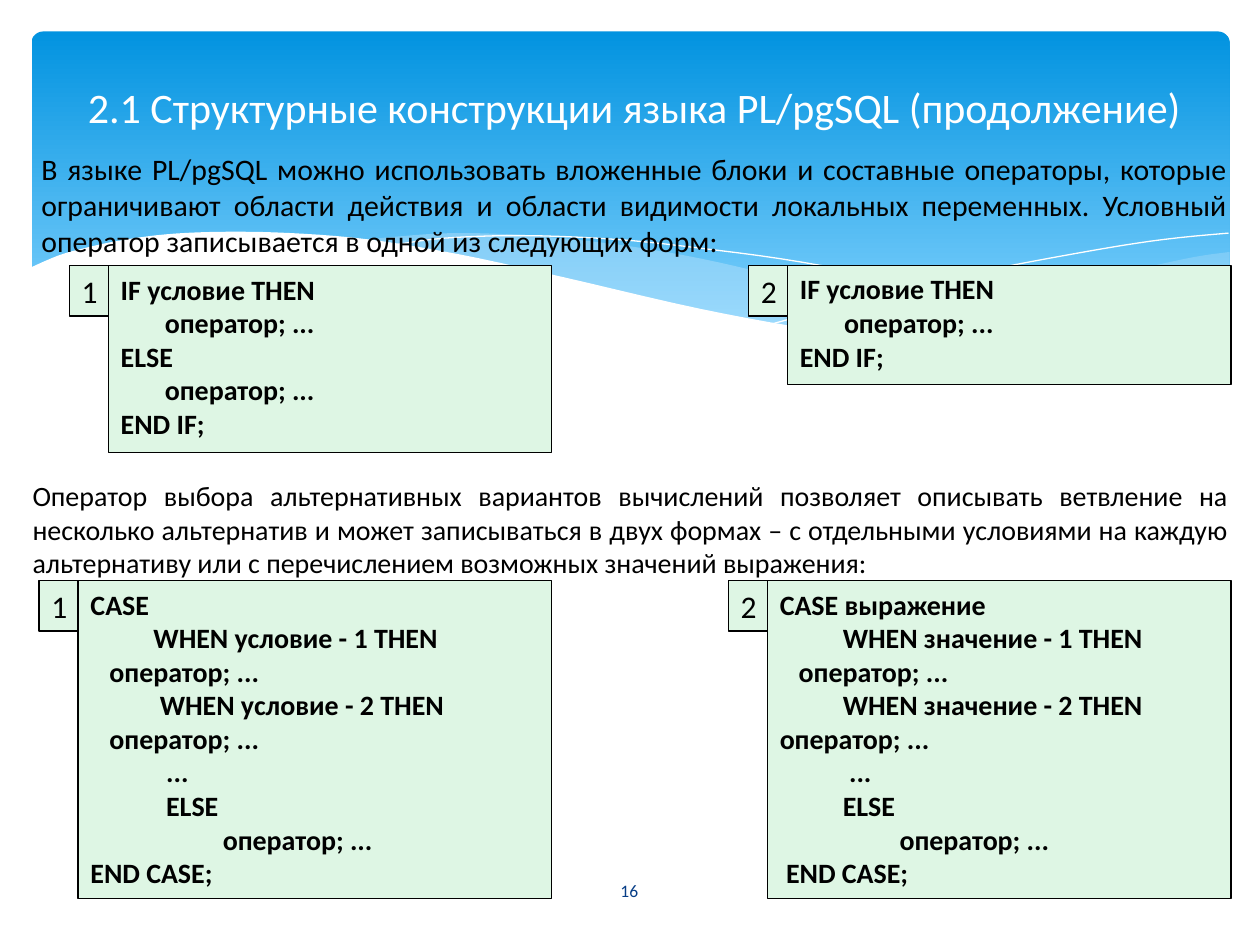
from dataclasses import dataclass
from typing import NamedTuple

from lxml.etree import SubElement
from pptx import Presentation
from pptx.dml.color import RGBColor as Color
from pptx.enum.shapes import MSO_SHAPE as Preset
from pptx.enum.text import MSO_ANCHOR as Anchor, PP_ALIGN as Align
from pptx.oxml.ns import qn
from pptx.util import Emu, Inches, Pt

COLUMNS, ROWS = 100, 75
CURVE_STEPS = 5


@dataclass(frozen=True)
class Theme:
    font: str = "Calibri"
    sky_top: str = "0293E0"
    sky_bottom: str = "83D3FE"
    wave: str = "C6E7FC"
    paper: str = "FFFFFF"
    ink: str = "000000"
    page: str = "073E87"
    panel: str = "DEF6E4"
    title_size: float = 24
    lead_size: float = 17
    code_size: float = 16
    badge_size: float = 18
    page_size: float = 10
    border: float = 0.75


class Area(NamedTuple):
    left: float
    top: float
    width: float
    height: float


class Style(NamedTuple):
    size: float
    color: str
    align: Align = Align.LEFT
    bold: bool = False


class Wave(NamedTuple):
    curves: list
    color: str
    opacity: int = 100
    filled: bool = True


class CodePanel(NamedTuple):
    number: str
    area: Area
    code: str


THEME = Theme()
BADGE_WIDTH, BADGE_HEIGHT = 3.1, 4
IF_TOP, CASE_TOP = 21.1, 46.1

WAVES = [
    Wave([[(97.6, 20), (94.8, 20.4), (90.6, 21.3), (86.1, 22.3), (77.9, 24.2), (66.1, 26.5)],
          [(66.1, 26.5), (71.9, 27.2), (76.9, 27.7), (81.4, 27.8), (86.3, 27.5), (90.5, 26.9),
           (94.2, 25.9), (97.6, 24.7)]], THEME.wave, 29),
    Wave([[(89.3, 27.3), (80.7, 26), (70.6, 24), (62.9, 22.2), (55.5, 20.5), (48.9, 19.4),
           (42, 18.7), (36.1, 18.5), (31.3, 18.8), (28.6, 19.1)],
          [(28.6, 19.1), (36.2, 20.3), (44.9, 22.2), (56.6, 24.8), (65, 26.4), (72.2, 27.4),
           (78.5, 27.7), (83.8, 27.8), (89.3, 27.3)]], THEME.wave, 40),
    Wave([[(30.9, 19.5), (35.3, 18.9), (41.6, 18.7), (48.9, 19), (55.6, 19.7), (63.6, 20.8),
           (72.7, 22.6), (83.1, 25.1), (90.7, 27.2)]], THEME.paper, filled=False),
    Wave([[(61.3, 25.7), (69.5, 23.5), (77.6, 21.6), (86.6, 19.9), (92.4, 19), (97.5, 18.5)]],
         THEME.paper, filled=False),
    Wave([[(97.7, 24.6), (94, 25.9), (89.9, 26.9), (85, 27.5), (79.3, 27.6), (72.6, 27.2),
           (64.8, 26.2), (55.5, 24.5), (44.7, 22), (36.5, 20.2), (29.2, 19), (23, 18.5),
           (17.7, 18.4), (13.2, 18.6), (9.5, 19.1), (6.7, 19.7), (4.6, 20.3), (2.3, 21.3)],
          [(2.3, 32.9), (97.7, 32.9)]], THEME.paper),
]

TITLE = "2.1 Структурные конструкции языка PL/pgSQL (продолжение)"
IF_LEAD = (
    "В языке PL/pgSQL можно использовать вложенные блоки и составные операторы, которые "
    "ограничивают области действия и области видимости локальных переменных. Условный "
    "оператор записывается в одной из следующих форм:"
)
CASE_LEAD = (
    "Оператор выбора альтернативных вариантов вычислений позволяет описывать ветвление на "
    "несколько альтернатив и может записываться в двух формах – с отдельными условиями на каждую "
    "альтернативу или с перечислением возможных значений выражения:"
)
PANELS = [
    CodePanel("1", Area(8.6, IF_TOP, 35.2, 14.8), """IF условие THEN
       оператор; ...
ELSE
       оператор; ...
END IF;"""),
    CodePanel("2", Area(62.5, IF_TOP, 35.2, 9.4), """IF условие THEN
       оператор; ...
END IF;"""),
    CodePanel("1", Area(6.2, CASE_TOP, 37.6, 25.2), """CASE
          WHEN условие - 1 THEN
   оператор; ...
           WHEN условие - 2 THEN
   оператор; ...
            ...
            ELSE
                     оператор; ...
END CASE;"""),
    CodePanel("2", Area(60.9, CASE_TOP, 36.8, 25.2), """CASE выражение
          WHEN значение - 1 THEN
   оператор; ...
          WHEN значение - 2 THEN
оператор; ...
           ...
          ELSE
                   оператор; ...
 END CASE;"""),
]


class Board:
    """Draw slide parts whose lengths are given in grid columns and rows."""

    def __init__(self, presentation) -> None:
        self.shapes = presentation.slides.add_slide(presentation.slide_layouts[6]).shapes
        self.column = presentation.slide_width / COLUMNS
        self.row = presentation.slide_height / ROWS

    def place(self, area: Area) -> list[Emu]:
        """Turn a grid area into slide lengths."""
        scales = (self.column, self.row) * 2
        return [Emu(round(length * scale)) for length, scale in zip(area, scales)]

    def sky(self, area: Area) -> None:
        """Draw the rounded gradient panel."""
        shape = self.shapes.add_shape(Preset.ROUNDED_RECTANGLE, *self.place(area))
        shape.adjustments[0] = 0.034
        shape.shadow.inherit = False
        shape.line.fill.background()
        shape.fill.gradient()
        shape.fill.gradient_angle = 270
        stops = ((0, THEME.sky_top), (0.9, THEME.sky_bottom))
        for stop, (position, color) in zip(shape.fill.gradient_stops, stops):
            stop.position = position
            stop.color.rgb = Color.from_string(color)

    def wave(self, wave: Wave) -> None:
        """Draw a smooth outline, filled or as a hairline."""
        points = [point for curve in wave.curves for point in smooth(curve)]
        builder = self.shapes.build_freeform(
            *points[0], scale=(self.column, self.row))
        builder = self.shapes.build_freeform(
            round(points[0][0] * self.column), round(points[0][1] * self.row))
        builder.add_line_segments(
            [(round(x * self.column), round(y * self.row)) for x, y in points[1:]],
            close=wave.filled)
        shape = builder.convert_to_shape()
        shape.shadow.inherit = False
        if not wave.filled:
            shape.fill.background()
            shape.line.color.rgb = Color.from_string(wave.color)
            shape.line.width = Pt(0)
            return
        shape.line.fill.background()
        paint(shape, wave.color)
        if wave.opacity < 100:
            color = shape.fill._xPr.find(qn("a:solidFill"))[0]
            SubElement(color, qn("a:alpha")).set("val", str(wave.opacity * 1000))

    def text(self, area: Area, text: str, style: Style):
        """Add a wrapping text box."""
        shape = self.shapes.add_textbox(*self.place(area))
        write(shape, text, style)
        return shape

    def label(self, area: Area, text: str, style: Style) -> None:
        """Add a bare, vertically centred text box."""
        frame = self.text(area, text, style).text_frame
        frame.vertical_anchor = Anchor.MIDDLE
        frame.margin_left = frame.margin_right = frame.margin_top = frame.margin_bottom = 0

    def box(self, area: Area, text: str, style: Style) -> None:
        """Add a bordered box with text."""
        shape = self.shapes.add_shape(Preset.RECTANGLE, *self.place(area))
        shape.shadow.inherit = False
        paint(shape, THEME.panel)
        shape.line.color.rgb = Color.from_string(THEME.ink)
        shape.line.width = Pt(THEME.border)
        write(shape, text, style)

    def panel(self, panel: CodePanel) -> None:
        """Add a code box with its number on the left."""
        area = panel.area
        self.box(area, panel.code, Style(THEME.code_size, THEME.ink, bold=True))
        badge = Area(area.left - BADGE_WIDTH, area.top, BADGE_WIDTH, BADGE_HEIGHT)
        self.box(badge, panel.number, Style(THEME.badge_size, THEME.ink))


def paint(shape, color: str) -> None:
    """Fill a shape with one colour."""
    shape.fill.solid()
    shape.fill.fore_color.rgb = Color.from_string(color)


def write(shape, text: str, style: Style) -> None:
    """Set and format the text of a shape."""
    frame = shape.text_frame
    frame.word_wrap = True
    frame.vertical_anchor = Anchor.TOP
    frame.text = text
    for paragraph in frame.paragraphs:
        paragraph.alignment = style.align
        for run in paragraph.runs:
            run.font.name, run.font.size, run.font.bold = THEME.font, Pt(style.size), style.bold
            run.font.color.rgb = Color.from_string(style.color)


def smooth(knots: list) -> list:
    """Interpolate a Catmull-Rom curve through the knots."""
    padded = [knots[0], *knots, knots[-1]]
    points = [knots[0]]
    for quad in zip(padded, padded[1:], padded[2:], padded[3:]):
        for step in range(1, CURVE_STEPS + 1):
            t = step / CURVE_STEPS
            points.append(tuple(
                b + t * (c - a + t * (2 * a - 5 * b + 4 * c - d + t * (3 * (b - c) + d - a))) / 2
                for a, b, c, d in zip(*quad)))
    return points


def main() -> None:
    """Build the slide and save it."""
    presentation = Presentation()
    presentation.slide_width, presentation.slide_height = Inches(10), Inches(7.5)
    board = Board(presentation)
    board.sky(Area(2.5, 2.5, 95.1, 27))
    for wave in WAVES:
        board.wave(wave)
    board.label(Area(43.6, 68.7, 12.7, 4), "16", Style(THEME.page_size, THEME.page, Align.CENTER))
    board.label(Area(0.7, 6.4, 99.3, 4.2), TITLE,
                Style(THEME.title_size, THEME.paper, Align.CENTER))
    board.text(Area(2.3, 11.5, 96.1, 9.6), IF_LEAD,
               Style(THEME.lead_size, THEME.ink, Align.JUSTIFY))
    board.text(Area(1.6, 37.5, 96.9, 9.1), CASE_LEAD,
               Style(THEME.code_size, THEME.ink, Align.JUSTIFY))
    for panel in PANELS:
        board.panel(panel)
    presentation.save("out.pptx")


if __name__ == "__main__":
    main()
